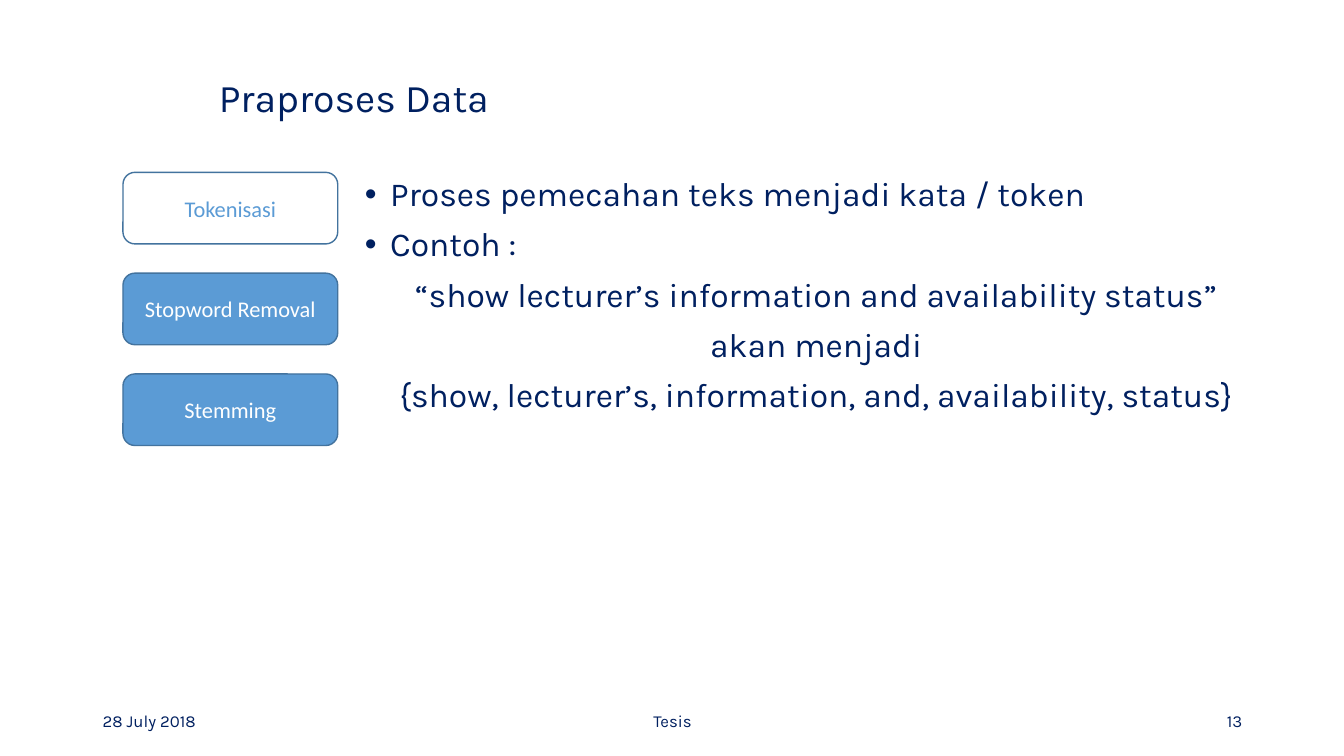
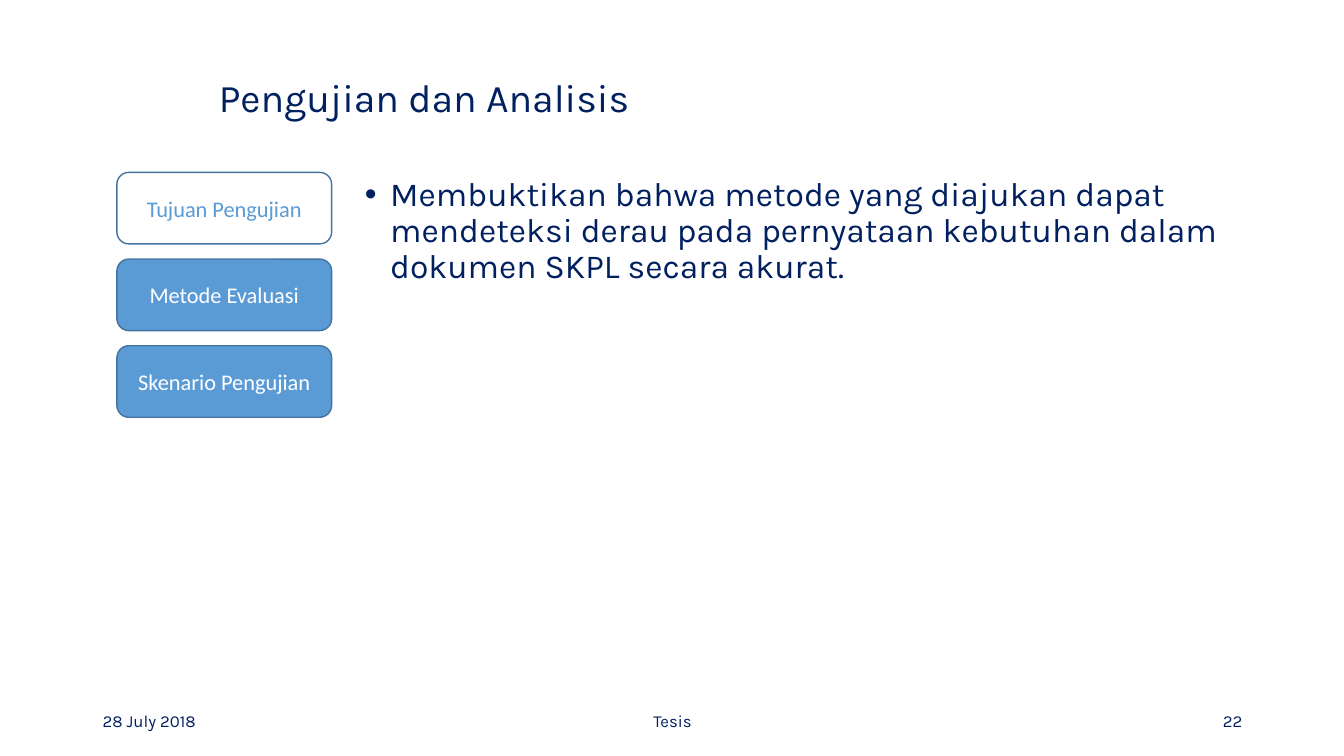
from dataclasses import dataclass

from lxml import etree
from pptx import Presentation
from pptx.dml.color import RGBColor
from pptx.enum.shapes import MSO_SHAPE
from pptx.enum.text import MSO_ANCHOR, MSO_AUTO_SIZE, PP_ALIGN
from pptx.oxml.ns import qn
from pptx.util import Inches, Pt

LEFT, CENTER, RIGHT = PP_ALIGN.LEFT, PP_ALIGN.CENTER, PP_ALIGN.RIGHT
MIDDLE, TOP = MSO_ANCHOR.MIDDLE, MSO_ANCHOR.TOP
ROUND = MSO_SHAPE.ROUNDED_RECTANGLE


@dataclass(frozen=True)
class Theme:
    navy: RGBColor = RGBColor(0x00, 0x20, 0x60)
    blue: RGBColor = RGBColor(0x5B, 0x9B, 0xD5)
    edge: RGBColor = RGBColor(0x43, 0x73, 0x9E)
    white: RGBColor = RGBColor(0xFF, 0xFF, 0xFF)
    main: str = "Karla"
    label: str = "Calibri"
    title: int = 28
    body: int = 24
    step: int = 16
    foot: int = 12


THEME = Theme()

# Each step list starts with the active step; gap is the pitch between steps.
SLIDES = [
    {
        "title": "Praproses Data",
        "page": "13",
        "left": 1.22,
        "pitch": 1.0,
        "steps": ["Tokenisasi", "Stopword Removal", "Stemming"],
        "points": ["Proses pemecahan teks menjadi kata / token", "Contoh :"],
        "sample": [
            "“show lecturer’s information and availability status”",
            "akan menjadi",
            "{show, lecturer’s, information, and, availability, status}",
        ],
    },
    {
        "title": "Pengujian dan Analisis",
        "page": "22",
        "left": 1.16,
        "pitch": 0.86,
        "steps": ["Tujuan Pengujian", "Metode Evaluasi", "Skenario Pengujian"],
        "points": [
            "Membuktikan bahwa metode yang diajukan dapat mendeteksi derau "
            "pada pernyataan kebutuhan dalam dokumen SKPL secara akurat."
        ],
        "sample": [],
    },
]


def place(shape, left, top, width, height, anchor):
    shape.left, shape.top = Inches(left), Inches(top)
    shape.width, shape.height = Inches(width), Inches(height)
    frame = shape.text_frame
    frame.word_wrap = True
    frame.auto_size = MSO_AUTO_SIZE.NONE
    frame.vertical_anchor = anchor
    return frame


def write(para, text, size, align, color=THEME.navy, face=THEME.main):
    para.text = text
    para.alignment = align
    para.font.size = Pt(size)
    para.font.name = face
    para.font.color.rgb = color


deck = Presentation()
deck.slide_width, deck.slide_height = Inches(13.33), Inches(7.5)

for data in SLIDES:
    slide = deck.slides.add_slide(deck.slide_layouts[1])
    shapes = slide.shapes

    frame = place(shapes.title, 2.07, 0.53, 11, 0.93, MIDDLE)
    para = frame.paragraphs[0]
    para.line_spacing = 0.9
    write(para, data["title"], THEME.title, LEFT)

    frame = place(slide.placeholders[1], 3.52, 1.71, 9.15, 4.99, TOP)
    points = data["points"]
    for i, text in enumerate(points + data["sample"]):
        para = frame.add_paragraph() if i else frame.paragraphs[0]
        para.line_spacing = 0.9
        para.space_before = Pt(10 if i else 0)
        props = para._p.get_or_add_pPr()
        listed = i < len(points)
        indent = Inches(0.25) if listed else 0
        props.set("marL", str(indent))
        props.set("indent", str(-indent))
        if listed:
            etree.SubElement(props, qn("a:buFont")).set("typeface", "Arial")
            etree.SubElement(props, qn("a:buChar")).set("char", "•")
        else:
            etree.SubElement(props, qn("a:buNone"))
        write(para, text, THEME.body, LEFT if listed else CENTER)

    for i, text in enumerate(data["steps"]):
        box = shapes.add_shape(ROUND, 0, 0, 0, 0)
        top = 1.71 + i * data["pitch"]
        frame = place(box, data["left"], top, 2.13, 0.71, MIDDLE)
        box.shadow.inherit = False
        fill, ink = (THEME.blue, THEME.white) if i else (THEME.white, THEME.blue)
        box.fill.solid()
        box.fill.fore_color.rgb = fill
        box.line.color.rgb = THEME.edge
        box.line.width = Pt(1)
        write(frame.paragraphs[0], text, THEME.step, CENTER, ink, THEME.label)

    for text, left, width, align in (
        ("28 July 2018", 0.92, 3, LEFT),
        ("Tesis", 4.42, 4.5, CENTER),
        (data["page"], 9.42, 3, RIGHT),
    ):
        box = shapes.add_textbox(0, 0, 0, 0)
        frame = place(box, left, 6.95, width, 0.4, MIDDLE)
        write(frame.paragraphs[0], text, THEME.foot, align)

deck.save("out.pptx")
